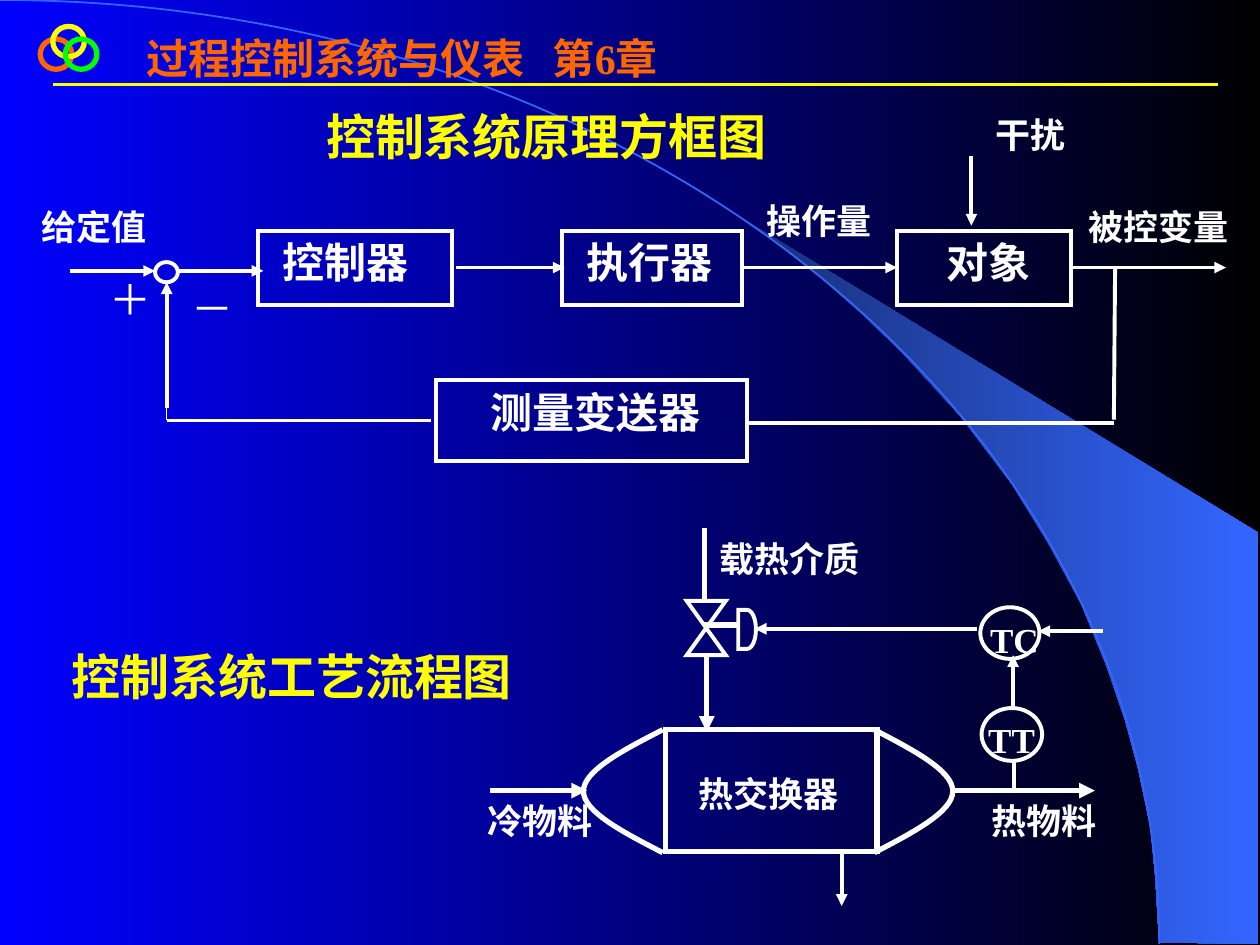
from lxml import etree
from pptx import Presentation
from pptx.dml.color import RGBColor
from pptx.enum.shapes import MSO_CONNECTOR, MSO_SHAPE
from pptx.oxml.ns import qn
from pptx.util import Pt

STRAIGHT = MSO_CONNECTOR.STRAIGHT
RECT, OVAL = MSO_SHAPE.RECTANGLE, MSO_SHAPE.OVAL
VALVE, ACTUATOR = MSO_SHAPE.FLOWCHART_COLLATE, MSO_SHAPE.FLOWCHART_DELAY

FONT = "Times New Roman"
WHITE = RGBColor(0xFF, 0xFF, 0xFF)
YELLOW = RGBColor(0xFF, 0xFF, 0x00)
ORANGE = RGBColor(0xFF, 0x66, 0x00)
GREEN = RGBColor(0x00, 0xFF, 0x00)
BLUE = RGBColor(0x00, 0x00, 0xFF)
BLACK = RGBColor(0x00, 0x00, 0x00)
NAVY = RGBColor(0x18, 0x2F, 0x76)
SKY = RGBColor(0x33, 0x66, 0xFF)

# Background sweep outline, and the arc as start, two controls, end
SWEEP = [(662.4, 538.6), (719.3, 539.3), (719.3, 304.6), (424.1, 124.6),
         (449.3, 143.3), (470.2, 159.8), (493.2, 180), (515.5, 201.6),
         (548.6, 237.6), (578.2, 276.5), (599, 310.3), (617.8, 344.9),
         (632.2, 380.2), (643, 411.8), (650.2, 438.5), (657.4, 472.3),
         (660.2, 501.1)]
ARC = [(0, 0), (365.8, 0), (662.4, 241.2), (662.4, 539.3)]
RINGS = [(23, 22.3, ORANGE), (30.2, 15.1, YELLOW), (37.4, 22.3, GREEN)]

# Text: left, top, width, height, words, size, colour, bold
HEADER = (76.6, 15.1, 323.3, 64.8, "过程控制系统与仪表\t第6章", 24, ORANGE, True)
HEADER_TAB = 232.3
TITLES = [(179.3, 57.6, 283.7, 41, "控制系统原理方框图", 28, YELLOW, True),
          (33.8, 365.8, 287.3, 41, "控制系统工艺流程图", 28, YELLOW, True)]
SIGNS = [(55.4, 152.9, 42, 36, "＋", 24, WHITE, False),
         (102.2, 157.7, 42, 36, "－", 24, WHITE, False)]
BLOCK_NAMES = [(154.4, 131.8, 103, "控制器"), (328.3, 131.8, 103, "执行器"),
               (533.9, 131.8, 81.4, "对象"), (273.3, 217.4, 161.3, "测量变送器")]
SIGNALS = [(16.6, 113.8, 78, "给定值"), (431, 110.2, 78, "操作量"),
           (614.9, 113.8, 105.1, "被控变量"), (562, 61.2, 70.6, "干扰"),
           (559.4, 453.2, 83.5, "热物料"), (403.9, 303.4, 98.6, "载热介质"),
           (271.4, 453.6, 80, "冷物料"), (392.1, 437.8, 99.4, "热交换器"),
           (557.6, 406.8, 45, "TT"), (558.7, 349.9, 45, "TC")]

# Shapes: preset, left, top, width, height, line width
SHAPES = [(RECT, 147.6, 131.8, 110.9, 42.5, 2.25),    # controller
          (RECT, 321.1, 131.8, 103, 42.5, 2.25),      # actuator
          (RECT, 512.6, 131.8, 99.4, 42.5, 2.25),     # plant
          (RECT, 249.1, 217.4, 177.8, 46.1, 2.25),    # transmitter
          (OVAL, 88.6, 149.8, 13, 11.5, 2.25),        # summing point
          (VALVE, 392.4, 343.4, 22.3, 31, 2.25),
          (ACTUATOR, 421.9, 348.5, 10.1, 22.3, 2.25),
          (RECT, 380.2, 416.9, 121, 69.8, 3),         # heat exchanger
          (OVAL, 560.9, 404.6, 34.6, 30.2, 2.25),     # TT
          (OVAL, 560.2, 347, 33.8, 29.5, 2.25)]       # TC
CAPS = [(378.7, 333.4), (499.7, 544.5)]               # base x, tip x
CAP_MIDDLE, CAP_HALF = 452.1, 35.1

# Lines: from x, from y, to x, to y, width
ARROWS = [(260.6, 152.9, 322.6, 152.9, 2.25), (102.2, 154.8, 150.5, 154.8, 2.25),
          (40.3, 154.8, 88.6, 154.8, 2.25), (95.3, 233.3, 95.3, 161.3, 2.25),
          (555.1, 89.3, 555.1, 128.9, 2.25), (424.1, 152.9, 512.6, 152.9, 2.25),
          (611.3, 152.9, 700.6, 152.9, 2.25), (545, 451.8, 625.7, 451.8, 3),
          (280.1, 451.8, 335.5, 451.8, 3), (403.9, 374.4, 403.9, 418.3, 3),
          (481, 486.7, 481, 517.7, 2.25), (558, 359.3, 431.3, 359.3, 2.25),
          (578.9, 405.4, 578.9, 374.4, 2.25), (630, 360.7, 593.3, 360.7, 2.25)]
PLAIN_LINES = [(637.2, 152.9, 636.5, 239.8, 2.25), (427.7, 241.9, 636.5, 241.9, 2.25),
               (246.2, 240.3, 95.3, 240.3, 2.25), (95.3, 233.3, 95.3, 239.8, 0.75),
               (402.5, 301.7, 402.5, 342.7, 3), (579.6, 434.9, 579.6, 450, 2.25),
               (402.5, 357.1, 421.9, 357.1, 3)]


def gradient(fill, start, end):
    fill.gradient()
    fill.gradient_angle = 0
    for stop, color in zip(fill.gradient_stops, (start, end)):
        stop.color.rgb = color


def outline(sp, color, width):
    sp.shadow.inherit = False
    sp.fill.background()
    sp.line.color.rgb = color
    sp.line.width = Pt(width)
    etree.SubElement(sp.line._get_or_add_ln(), qn("a:miter"), lim="800000")


def shape(s, kind, x, y, w, h, width, color=WHITE):
    outline(s.shapes.add_shape(kind, Pt(x), Pt(y), Pt(w), Pt(h)), color, width)


def freeform(s, points, close):
    emu = [(Pt(x), Pt(y)) for x, y in points]
    builder = s.shapes.build_freeform(*emu[0])
    builder.add_line_segments(emu[1:], close=close)
    return builder.convert_to_shape()


def curve(s, points, color, width):
    """Open curve: a start point, then two controls and an end per segment."""
    sp = freeform(s, points, False)
    steps = list(sp._element.iter(qn("a:lnTo")))
    for i in range(0, len(steps), 3):
        first, *others = steps[i:i + 3]
        bezier = etree.Element(qn("a:cubicBezTo"))
        first.addprevious(bezier)
        for step in (first, *others):
            bezier.append(step[0])
            step.getparent().remove(step)
    outline(sp, color, width)


def line(s, x1, y1, x2, y2, width, color=WHITE, arrow=False):
    cx = s.shapes.add_connector(STRAIGHT, Pt(x1), Pt(y1), Pt(x2), Pt(y2))
    cx.line.color.rgb = color
    cx.line.width = Pt(width)
    if arrow:
        etree.SubElement(cx.line._get_or_add_ln(), qn("a:tailEnd"), type="triangle")
    etree.SubElement(cx._element.spPr, qn("a:effectLst"))


def text(s, x, y, w, h, words, size, color, bold, tab=None):
    tf = s.shapes.add_textbox(Pt(x), Pt(y), Pt(w), Pt(h)).text_frame
    tf.word_wrap = True
    tf.text = words
    p = tf.paragraphs[0]
    if tab:
        tabs = etree.SubElement(p._p.get_or_add_pPr(), qn("a:tabLst"))
        etree.SubElement(tabs, qn("a:tab"), pos=str(Pt(tab)), algn="l")
    for r in p.runs:
        r.font.name, r.font.size, r.font.bold = FONT, Pt(size), bold
        r.font.color.rgb = color


def main():
    prs = Presentation()
    prs.slide_width, prs.slide_height = Pt(720), Pt(540)
    s = prs.slides.add_slide(prs.slide_layouts[6])

    # Background and sweep
    gradient(s.background.fill, BLUE, BLACK)
    sp = freeform(s, SWEEP, True)
    sp.shadow.inherit = False
    gradient(sp.fill, NAVY, SKY)
    sp.line.fill.background()
    curve(s, ARC, SKY, 1)

    # Header
    line(s, 30.2, 48.2, 696.2, 48.2, 1.5, YELLOW)
    text(s, *HEADER, tab=HEADER_TAB)
    for x, y, color in RINGS:
        shape(s, OVAL, x, y, 18, 17.3, 3, color)

    # Diagram shapes
    for item in SHAPES:
        shape(s, *item)
    for base, tip in CAPS:
        half = (base + tip) / 2
        profile = [(base, 1), (half, 2 / 3), (tip, 1 / 3), (tip, 0),
                   (tip, -1 / 3), (half, -2 / 3), (base, -1)]
        curve(s, [(x, CAP_MIDDLE - k * CAP_HALF) for x, k in profile], WHITE, 3)

    # Connections
    for item in PLAIN_LINES:
        line(s, *item)
    for item in ARROWS:
        line(s, *item, arrow=True)

    # Text
    for item in TITLES + SIGNS:
        text(s, *item)
    for x, y, w, words in BLOCK_NAMES:
        text(s, x, y, w, 36, words, 24, WHITE, True)
    for x, y, w, words in SIGNALS:
        text(s, x, y, w, 31, words, 20, WHITE, True)

    prs.save("out.pptx")


if __name__ == "__main__":
    main()
